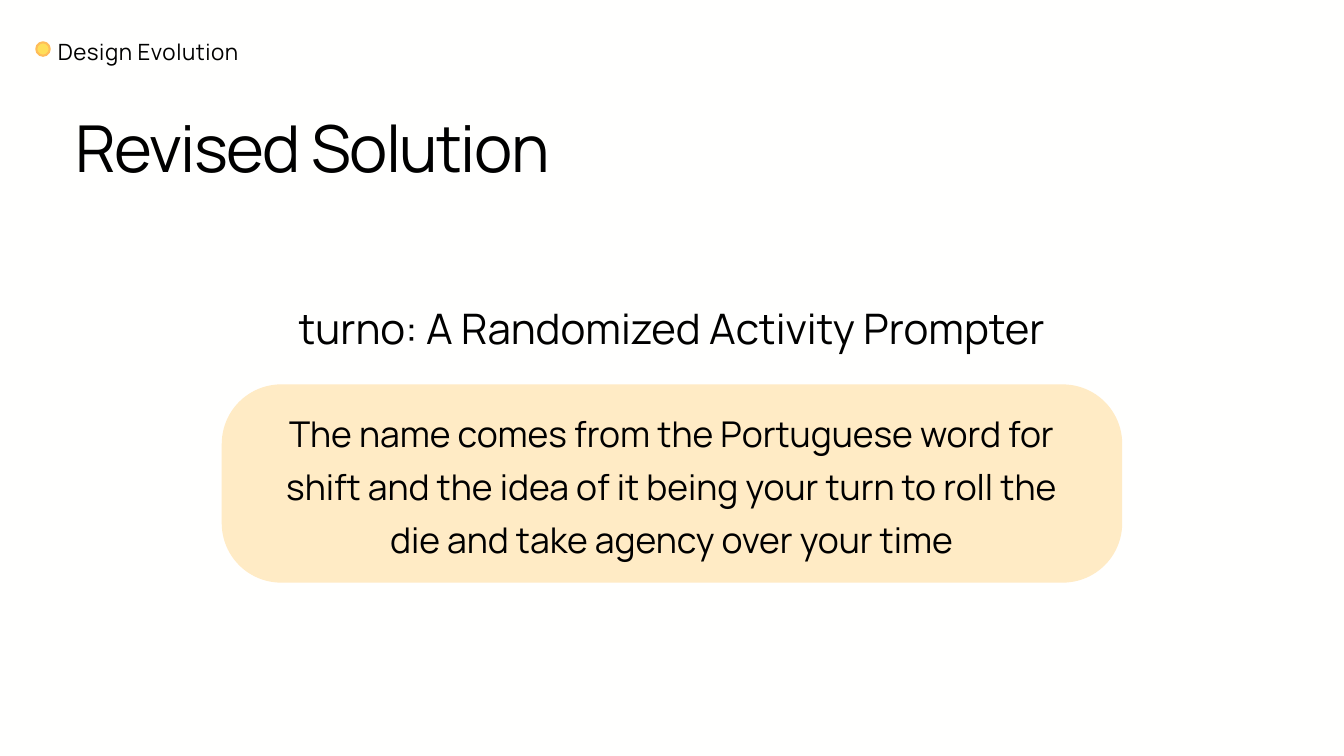
from dataclasses import dataclass

from pptx import Presentation
from pptx.dml.color import RGBColor
from pptx.enum.shapes import MSO_SHAPE
from pptx.enum.text import MSO_ANCHOR, MSO_AUTO_SIZE, PP_ALIGN
from pptx.util import Inches, Pt


@dataclass(frozen=True)
class Theme:
    font: str = "Manrope"
    background: RGBColor = RGBColor.from_string("FFFFFE")
    text: RGBColor = RGBColor.from_string("000000")
    dot: RGBColor = RGBColor.from_string("FFDE59")
    dot_line: RGBColor = RGBColor.from_string("FFBD59")
    panel: RGBColor = RGBColor.from_string("FFEBC5")
    title_size: float = 69.3
    section_size: float = 24
    heading_size: float = 45
    body_size: float = 38


THEME = Theme()


def set_values(target, values):
    for name, value in values.items():
        setattr(target, name, value)


def place(shape, left, top, width, height):
    set_values(shape, {
        "left": Inches(left), "top": Inches(top),
        "width": Inches(width), "height": Inches(height),
    })


def format_text(shape, text, size, leading, alignment=PP_ALIGN.LEFT, tracking=0):
    frame = shape.text_frame
    set_values(frame, {
        "margin_left": 0, "margin_top": 0, "margin_right": 0, "margin_bottom": 0,
        "word_wrap": True, "auto_size": MSO_AUTO_SIZE.NONE,
        "vertical_anchor": MSO_ANCHOR.TOP,
    })
    paragraph = frame.paragraphs[0]
    set_values(paragraph, {
        "alignment": alignment, "line_spacing": Pt(leading), "space_before": Pt(0),
    })
    run = paragraph.add_run()
    run.text = text
    set_values(run.font, {"name": THEME.font, "size": Pt(size)})
    run.font.color.rgb = THEME.text
    if tracking:
        run._r.get_or_add_rPr().set("spc", str(round(tracking * 100)))


def add_title(slide, text, box):
    title = slide.shapes.title
    place(title, *box)
    format_text(title, text, THEME.title_size, THEME.title_size, tracking=-1.7)


def add_text(slide, text, box, size, leading, **options):
    shape = slide.shapes.add_textbox(*map(Inches, box))
    format_text(shape, text, size, leading, **options)


def add_filled_shape(slide, kind, box, fill, line=None):
    shape = slide.shapes.add_shape(kind, *map(Inches, box))
    shape.shadow.inherit = False
    shape.fill.solid()
    shape.fill.fore_color.rgb = fill
    if line is None:
        shape.line.fill.background()
    else:
        shape.line.color.rgb = line
        shape.line.width = Pt(2.25)
    return shape


def main():
    presentation = Presentation()
    set_values(presentation, {"slide_width": Inches(20), "slide_height": Inches(11.25)})
    slide = presentation.slides.add_slide(presentation.slide_layouts[5])
    slide.background.fill.solid()
    slide.background.fill.fore_color.rgb = THEME.background

    add_filled_shape(slide, MSO_SHAPE.OVAL, (0.54, 0.63, 0.2, 0.2),
                     THEME.dot, THEME.dot_line)
    add_title(slide, "Revised Solution", (1.12, 1.79, 10.53, 1.01))
    add_text(slide, "Design Evolution", (0.86, 0.47, 5.53, 0.48),
             THEME.section_size, 36, tracking=0.6)
    add_text(slide, "turno: A Randomized Activity Prompter", (3.59, 4.38, 12.81, 0.9),
             THEME.heading_size, 63, alignment=PP_ALIGN.CENTER)
    panel = add_filled_shape(slide, MSO_SHAPE.ROUNDED_RECTANGLE,
                             (3.3, 5.72, 13.4, 2.95), THEME.panel)
    panel.adjustments[0] = 0.3
    add_text(slide,
             "The name comes from the Portuguese word for shift and the idea of it "
             "being your turn to roll the die and take agency over your time",
             (3.97, 5.97, 12.05, 2.34), THEME.body_size, 57,
             alignment=PP_ALIGN.CENTER)

    presentation.save("out.pptx")


if __name__ == "__main__":
    main()
